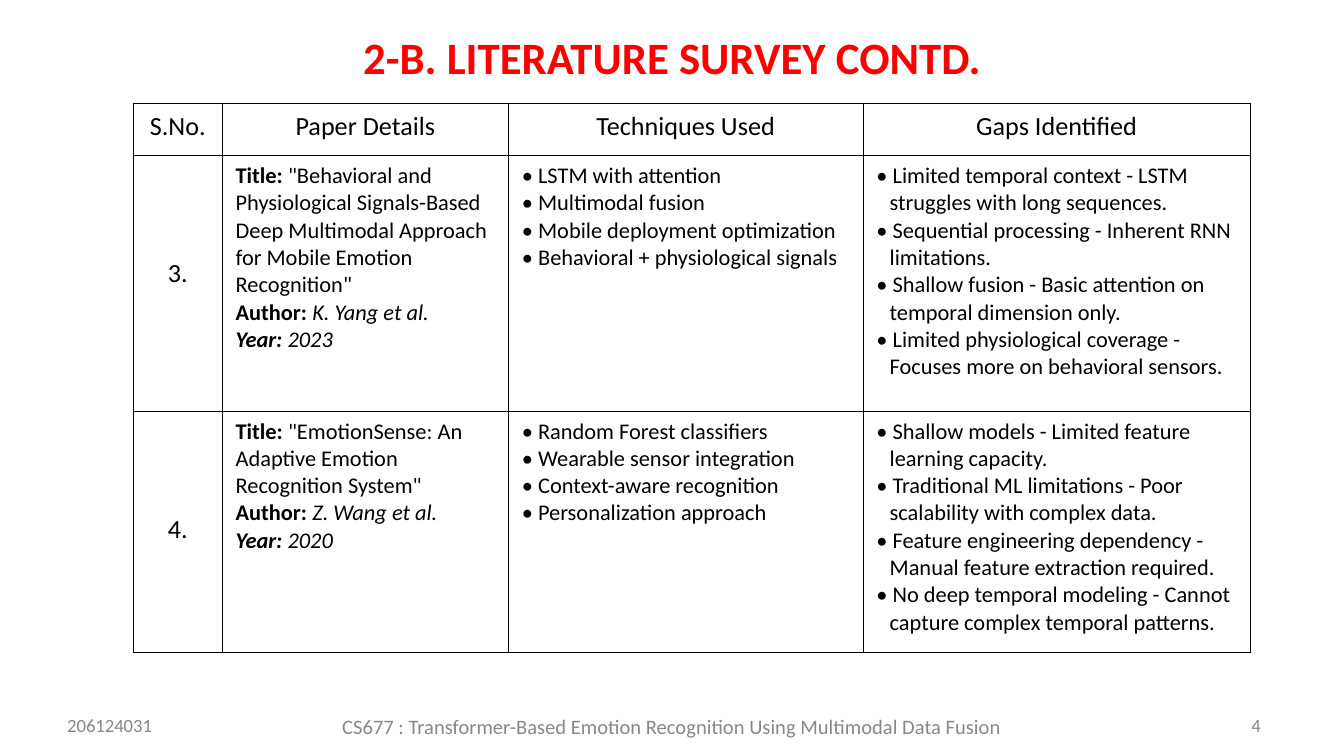
from lxml import etree
from pptx import Presentation
from pptx.dml.color import RGBColor
from pptx.enum import text as t
from pptx.oxml.ns import qn
from pptx.util import Cm, Pt

HUES = {"title": "FF0000", "ink": "000000", "paper": "FFFFFF",
        "foot": "888888", "side": "878787"}
TITLE = "2-B. LITERATURE SURVEY CONTD."
HEADS = ["S.No.", "Paper Details", "Techniques Used", "Gaps Identified"]
PAPERS = [
    {"no": "3.",
     "title": '"Behavioral and Physiological Signals-Based Deep Multimodal '
              'Approach for Mobile Emotion Recognition"',
     "author": "K. Yang et al.", "year": "2023",
     "uses": ["LSTM with attention", "Multimodal fusion",
              "Mobile deployment optimization",
              "Behavioral + physiological signals"],
     "gaps": ["Limited temporal context - LSTM struggles with long sequences.",
              "Sequential processing - Inherent RNN limitations.",
              "Shallow fusion - Basic attention on temporal dimension only.",
              "Limited physiological coverage - Focuses more on behavioral sensors."]},
    {"no": "4.",
     "title": '"EmotionSense: An Adaptive Emotion Recognition System"',
     "author": "Z. Wang et al.", "year": "2020",
     "uses": ["Random Forest classifiers", "Wearable sensor integration",
              "Context-aware recognition", "Personalization approach"],
     "gaps": ["Shallow models - Limited feature learning capacity.",
              "Traditional ML limitations - Poor scalability with complex data.",
              "Feature engineering dependency - Manual feature extraction required.",
              "No deep temporal modeling - Cannot capture complex temporal patterns."]},
]
# text, left, width, size, colour, centred
FOOT = [
    ("CS677 : Transformer-Based Emotion Recognition Using Multimodal Data Fusion",
     6.35, 12.7, 11, "foot", True),
    ("206124031", 1.27, 1.93, 10, "side", False),
    ("4", 23.65, 0.53, 10, "side", False),
]
COLS = [1.68, 5.41, 6.7, 7.32]
ROWS = [0.98, 4.83, 4.57]


def write(frame, lines, size=12, hue="ink", center=False, hang=0):
    """Fill a frame; a line is a list of (text, style), style using b and i."""
    for k, line in enumerate(lines):
        par = frame.paragraphs[0] if k == 0 else frame.add_paragraph()
        par.alignment = t.PP_ALIGN.CENTER if center else t.PP_ALIGN.LEFT
        if hang:
            props = par._p.get_or_add_pPr()
            props.set("marL", str(Cm(hang)))
            props.set("indent", str(-Cm(hang)))
        for words, style in line:
            run = par.add_run()
            run.text = words
            font = run.font
            font.name, font.size = "Calibri", Pt(size)
            font.bold, font.italic = "b" in style, "i" in style
            font.color.rgb = RGBColor.from_string(HUES[hue])


def trim(frame):
    frame.margin_left = frame.margin_right = 0
    frame.margin_top = frame.margin_bottom = 0
    frame.vertical_anchor = t.MSO_ANCHOR.TOP
    frame.word_wrap = True


def border(cell):
    props = cell._tc.get_or_add_tcPr()
    for k, side in enumerate(("a:lnL", "a:lnR", "a:lnT", "a:lnB")):
        line = etree.Element(qn(side), w=str(Pt(0.45)))
        fill = etree.SubElement(line, qn("a:solidFill"))
        etree.SubElement(fill, qn("a:srgbClr"), val=HUES["ink"])
        props.insert(k, line)


def bullets(items):
    return [[("• " + item, "")] for item in items]


def details(paper):
    return [[("Title: ", "b"), (paper["title"], "")],
            [("Author: ", "b"), (paper["author"], "i")],
            [("Year: ", "bi"), (paper["year"], "i")]]


def survey(slide):
    table = slide.shapes.add_table(len(ROWS), len(COLS), Cm(2.52), Cm(1.96),
                                   Cm(sum(COLS)), Cm(sum(ROWS))).table
    table.first_row = table.horz_banding = False
    for col, width in zip(table.columns, COLS):
        col.width = Cm(width)
    for row, height in zip(table.rows, ROWS):
        row.height = Cm(height)
    for cell in table.iter_cells():
        cell.fill.solid()
        cell.fill.fore_color.rgb = RGBColor.from_string(HUES["paper"])
        border(cell)
    for col, head in enumerate(HEADS):
        write(table.cell(0, col).text_frame, [[(head, "")]], size=14, center=True)
    for row, paper in enumerate(PAPERS, 1):
        no, info, uses, gaps = table.rows[row].cells
        no.margin_top = Cm(1.93)
        write(no.text_frame, [[(paper["no"], "")]], size=14, center=True)
        write(info.text_frame, details(paper))
        write(uses.text_frame, bullets(paper["uses"]))
        write(gaps.text_frame, bullets(paper["gaps"]), hang=0.25)


def main():
    deck = Presentation()
    deck.slide_width, deck.slide_height = Cm(25.4), Cm(14.29)
    slide = deck.slides.add_slide(deck.slide_layouts[5])
    title = slide.shapes.title
    title.left, title.top, title.width, title.height = map(Cm, (5.36, 0.56, 14.68, 1.02))
    trim(title.text_frame)
    write(title.text_frame, [[(TITLE, "b")]], size=24, hue="title", center=True)
    survey(slide)
    for words, left, width, size, hue, center in FOOT:
        box = slide.shapes.add_textbox(Cm(left), Cm(13.49), Cm(width), Cm(0.45))
        trim(box.text_frame)
        write(box.text_frame, [[(words, "")]], size=size, hue=hue, center=center)
    deck.save("out.pptx")


if __name__ == "__main__":
    main()
